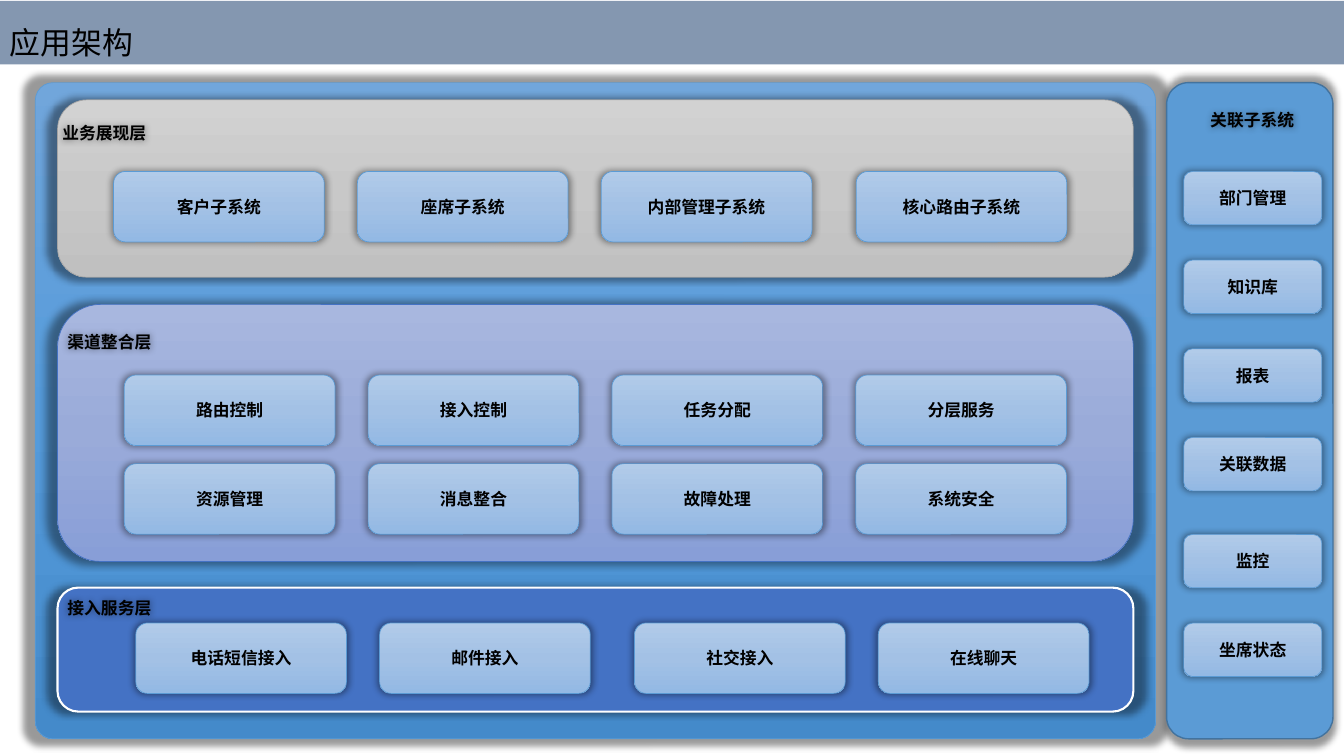
"""Build the application architecture slide."""
from copy import deepcopy
from lxml import etree
from pptx import Presentation
from pptx import util as u
from pptx.dml.color import RGBColor
from pptx.enum import shapes, text
from pptx.oxml.ns import qn

BLACK = RGBColor(0x00, 0x00, 0x00)
WHITE = RGBColor(0xFF, 0xFF, 0xFF)
SLATE = RGBColor(0x84, 0x97, 0xB0)
SKY = RGBColor(0x5B, 0x9B, 0xD5)
SKY_EDGE = RGBColor(0x43, 0x73, 0x9E)
ROYAL = RGBColor(0x44, 0x72, 0xC4)
GREY = RGBColor(0xA5, 0xA5, 0xA5)
PANEL = [RGBColor(0x71, 0xA6, 0xDB), RGBColor(0x55, 0x9B, 0xDB), RGBColor(0x44, 0x8A, 0xCA)]
SILVER = [RGBColor(0xD2, 0xD2, 0xD2), RGBColor(0xC8, 0xC8, 0xC8), RGBColor(0xC0, 0xC0, 0xC0)]
LILAC = [RGBColor(0xA8, 0xB7, 0xDF), RGBColor(0x9A, 0xAB, 0xD9), RGBColor(0x88, 0x9E, 0xD7)]
TILE = [RGBColor(0xB1, 0xCB, 0xE9), RGBColor(0xA3, 0xC1, 0xE5), RGBColor(0x93, 0xB9, 0xE4)]

TILE_W, TILE_H, PITCH = 15.68, 9.33, 18.14
SIDE_X, SIDE_Y, SIDE_W, SIDE_H, SIDE_PITCH = 88.07, 22.67, 10.28, 7.07, 11.73
LAYER_X, LAYER_W = 4.28, 80.05


class Deck:
    """Holds the style and the slide; lengths are percentages of the slide's size."""

    font = "Noto Sans CJK SC"

    def __init__(self):
        self.prs = Presentation()
        self.prs.slide_width = u.Inches(13.33)
        self.prs.slide_height = u.Inches(7.5)
        self.s = self.prs.slides.add_slide(self.prs.slide_layouts[6])

    def place(self, x, y, w, h):
        W, H = self.prs.slide_width, self.prs.slide_height
        return [int(v * full / 100) for v, full in ((x, W), (y, H), (w, W), (h, H))]

    def put_text(self, sp, words, align, size=12, bold=True):
        tf = sp.text_frame
        tf.word_wrap = True
        tf.vertical_anchor = text.MSO_ANCHOR.MIDDLE
        tf.text = words
        p = tf.paragraphs[0]
        p.alignment = align
        r = p.runs[0]
        r.font.size, r.font.bold, r.font.name = u.Pt(size), bold, self.font
        r.font.color.rgb = BLACK
        ea = etree.SubElement(r._r.get_or_add_rPr(), qn("a:ea"))
        ea.set("typeface", self.font)
        return p

    def glow(self, sp):
        spPr = sp._element.spPr
        effects = spPr.find(qn("a:effectLst"))
        if effects is None:
            effects = etree.SubElement(spPr, qn("a:effectLst"))
        shadow = etree.SubElement(effects, qn("a:outerShdw"), blurRad="63500",
                                  sx="102000", sy="102000", algn="ctr", rotWithShape="0")
        color = etree.SubElement(shadow, qn("a:srgbClr"), val=str(BLACK))
        etree.SubElement(color, qn("a:alpha"), val="40000")

    def gradient(self, sp, colors):
        sp.fill.gradient()
        sp.fill.gradient_angle = 270
        stops = sp._element.spPr.find(".//" + qn("a:gsLst"))
        stops.insert(1, deepcopy(stops[0]))
        for stop, color, position in zip(sp.fill.gradient_stops, colors, (0, 0.5, 1)):
            stop.color.rgb, stop.position = color, position

    def box(self, at, fill, line, width=0.5, corner=None):
        sp = self.s.shapes.add_shape(shapes.MSO_SHAPE.ROUNDED_RECTANGLE, *self.place(*at))
        if corner:
            sp.adjustments[0] = corner
        if isinstance(fill, list):
            self.gradient(sp, fill)
        else:
            sp.fill.solid()
            sp.fill.fore_color.rgb = fill
        sp.line.color.rgb, sp.line.width = line, u.Pt(width)
        sp.shadow.inherit = False
        self.glow(sp)
        return sp

    def tile(self, words, *at):
        self.put_text(self.box(at, TILE, SKY), words, text.PP_ALIGN.CENTER)

    def tile_row(self, x, y, names, gap_at=None):
        for i, name in enumerate(names):
            shift = 0.83 if gap_at is not None and i >= gap_at else 0
            self.tile(name, x + i * PITCH + shift, y, TILE_W, TILE_H)

    def label(self, words, x, y, w=11.18, align=text.PP_ALIGN.LEFT):
        sp = self.s.shapes.add_textbox(*self.place(x, y, w, 7.73))
        self.put_text(sp, words, align)
        self.glow(sp)

    def title(self, words):
        sp = self.s.shapes.add_shape(shapes.MSO_SHAPE.RECTANGLE, *self.place(0, 0.13, 100, 8.4))
        sp.fill.solid()
        sp.fill.fore_color.rgb = SLATE
        sp.line.fill.background()
        sp.shadow.inherit = False
        self.put_text(sp, words, text.PP_ALIGN.LEFT, 22, False).line_spacing = 1.5


deck = Deck()
deck.title("应用架构")
deck.box((2.63, 10.93, 83.35, 86.8), PANEL, SKY, corner=0.027)
deck.box((86.8, 10.93, 12.38, 86.8), SKY, SKY_EDGE, 1, 0.132)
deck.label("关联子系统", 87.25, 12, 11.85, text.PP_ALIGN.CENTER)

deck.box((LAYER_X, 77.73, LAYER_W, 16.4), ROYAL, WHITE, 1.5)
deck.label("接入服务层", LAYER_X, 76.53)
deck.tile_row(10.1, 82.4, ["电话短信接入", "邮件接入", "社交接入", "在线聊天"], gap_at=2)

deck.box((LAYER_X, 13.2, LAYER_W, 23.47), SILVER, GREY)
deck.label("业务展现层", 3.9, 13.73)
deck.tile_row(8.45, SIDE_Y, ["客户子系统", "座席子系统", "内部管理子系统", "核心路由子系统"], gap_at=3)

deck.box((LAYER_X, 40.27, LAYER_W, 34), LILAC, ROYAL)
deck.label("渠道整合层", LAYER_X, 41.33)
deck.tile_row(9.25, 49.6, ["路由控制", "接入控制", "任务分配", "分层服务"])
deck.tile_row(9.25, 61.33, ["资源管理", "消息整合", "故障处理", "系统安全"])

for i, name in enumerate(["部门管理", "知识库", "报表", "关联数据", "监控", "坐席状态"]):
    extra = 1.1 if i >= 4 else 0
    deck.tile(name, SIDE_X, SIDE_Y + i * SIDE_PITCH + extra, SIDE_W, SIDE_H)

deck.prs.save("out.pptx")
